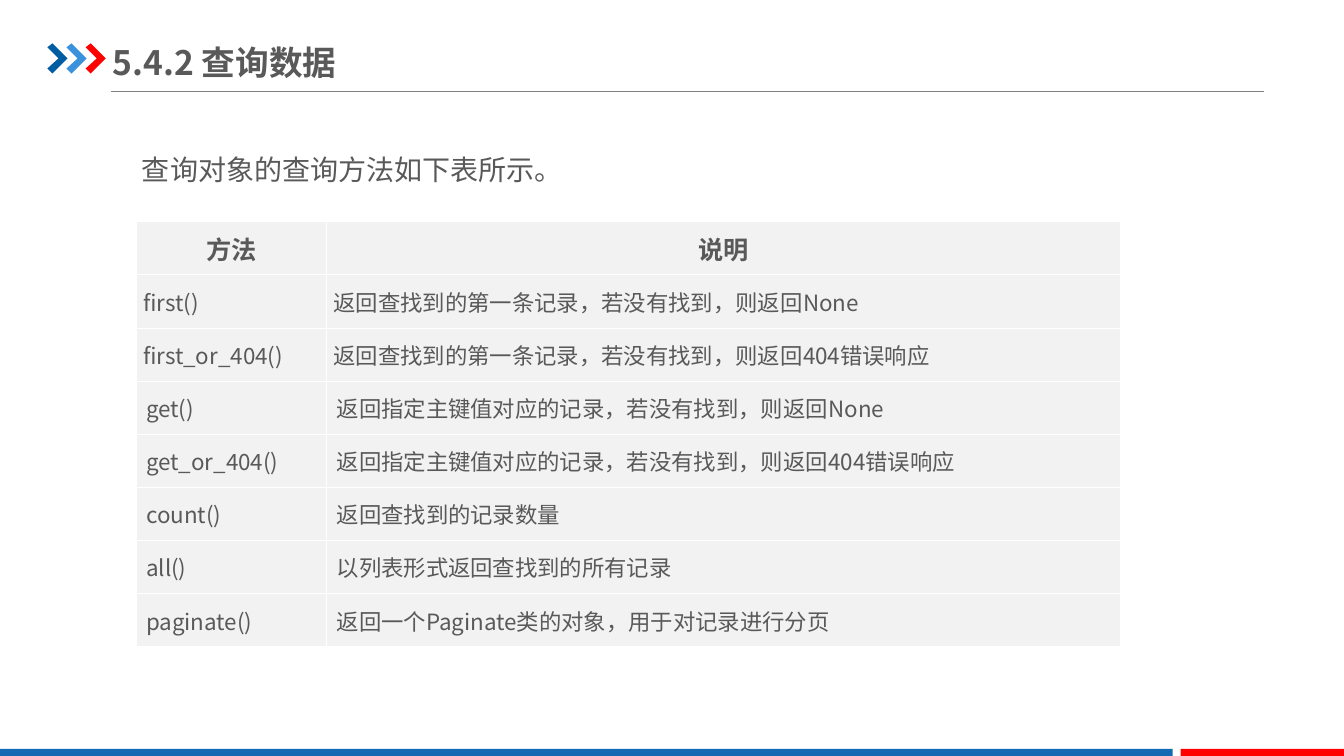
from lxml import etree
from pptx import Presentation
from pptx import util as u
from pptx.dml import color
from pptx.enum import shapes, text
from pptx.oxml import ns

FONT = "Noto Sans CJK SC"
GREY = "595959"
ROWS = [
    ("方法", "说明"),
    ("first()", "返回查找到的第一条记录，若没有找到，则返回None"),
    ("first_or_404()", "返回查找到的第一条记录，若没有找到，则返回404错误响应"),
    ("get()", "返回指定主键值对应的记录，若没有找到，则返回None"),
    ("get_or_404()", "返回指定主键值对应的记录，若没有找到，则返回404错误响应"),
    ("count()", "返回查找到的记录数量"),
    ("all()", "以列表形式返回查找到的所有记录"),
    ("paginate()", "返回一个Paginate类的对象，用于对记录进行分页"),
]


def rgb(code):
    """Turn a hex string into a colour."""
    return color.RGBColor.from_string(code)


def paint(shape, code):
    """Give a shape a flat fill with no line or shadow."""
    shape.shadow.inherit = False
    shape.fill.solid()
    shape.fill.fore_color.rgb = rgb(code)
    shape.line.fill.background()


def write(para, words, size, bold=False):
    """Add one styled run to a paragraph."""
    run = para.add_run()
    run.text = words
    font = run.font
    font.size, font.bold, font.name = u.Pt(size), bold, FONT
    font.color.rgb = rgb(GREY)
    east = etree.SubElement(run._r.get_or_add_rPr(), ns.qn("a:ea"))
    east.set("typeface", FONT)


def add_rule(slide, left, right, top):
    """Draw the thin line under the heading."""
    rule = slide.shapes.add_connector(
        shapes.MSO_CONNECTOR.STRAIGHT,
        u.Inches(left), u.Inches(top), u.Inches(right), u.Inches(top))
    rule.line.color.rgb = rgb("808080")
    rule.line.width = u.Pt(0.75)
    etree.SubElement(rule._element.spPr, ns.qn("a:effectLst"))


def add_arrow(slide, left, code):
    """Draw one chevron of the heading mark."""
    spots = [(0, 0.47), (0.05, 0.43), (0.2, 0.58), (0.05, 0.73),
             (0, 0.68), (0.11, 0.58)]
    spots = [(u.Inches(left + x), u.Inches(y)) for x, y in spots]
    pen = slide.shapes.build_freeform(*spots[0])
    pen.add_line_segments(spots[1:], close=True)
    paint(pen.convert_to_shape(), code)


def add_bar(slide, left, width, code):
    """Draw one part of the footer strip."""
    bar = slide.shapes.add_shape(
        shapes.MSO_SHAPE.RECTANGLE,
        u.Inches(left), u.Inches(7.43), u.Inches(width), u.Inches(0.09))
    paint(bar, code)


def add_text(slide, area, words, size, bold=False):
    """Add a wrapped text box and return its frame."""
    box = slide.shapes.add_textbox(*map(u.Inches, area))
    frame = box.text_frame
    frame.word_wrap = True
    write(frame.paragraphs[0], words, size, bold)
    return frame


def add_edges(cell):
    """Put thin white borders round a cell."""
    props = cell._tc.get_or_add_tcPr()
    for side in ("lnL", "lnR", "lnT", "lnB"):
        edge = etree.SubElement(props, ns.qn("a:" + side), w=str(u.Pt(0.75)))
        fill = etree.SubElement(edge, ns.qn("a:solidFill"))
        etree.SubElement(fill, ns.qn("a:srgbClr"), val="FFFFFF")


def fill_cell(cell, words, row):
    """Style one cell by its row and write its text."""
    cell.vertical_anchor = text.MSO_ANCHOR.MIDDLE
    if row < 3:
        cell.margin_left = cell.margin_right = u.Inches(0.07)
        cell.margin_top = cell.margin_bottom = 0
    add_edges(cell)
    cell.fill.solid()
    cell.fill.fore_color.rgb = rgb("F2F2F2")
    para = cell.text_frame.paragraphs[0]
    head = row == 0
    if head:
        para.alignment = text.PP_ALIGN.CENTER
    write(para, words, 18 if head else 16, head)


def add_grid(slide):
    """Add the table of query methods."""
    area = map(u.Inches, (1.35, 2.2, 9.75, 4.22))
    grid = slide.shapes.add_table(len(ROWS), 2, *area).table
    for col, width in zip(grid.columns, (1.89, 7.87)):
        col.width = u.Inches(width)
    for r, line in enumerate(ROWS):
        for c, words in enumerate(line):
            fill_cell(grid.cell(r, c), words, r)


def main():
    """Build the slide and save it."""
    deck = Presentation()
    deck.slide_width, deck.slide_height = u.Inches(13.33), u.Inches(7.5)
    slide = deck.slides.add_slide(deck.slide_layouts[6])
    add_rule(slide, 1.1, 12.54, 0.91)
    for i, code in enumerate(("005DA2", "3992DB", "FF0000")):
        add_arrow(slide, 0.47 + 0.19 * i, code)
    add_bar(slide, 0, 11.63, "1369B2")
    add_bar(slide, 11.71, 1.62, "FF0000")
    intro = add_text(slide, (1.31, 1.3, 5.91, 0.61),
                     "查询对象的查询方法如下表所示。", 20)
    intro.auto_size = text.MSO_AUTO_SIZE.SHAPE_TO_FIT_TEXT
    intro.paragraphs[0].line_spacing = 1.5
    title = add_text(slide, (1.12, 0.34, 4.89, 0.55),
                     "5.4.2 查询数据", 24, True)
    title.vertical_anchor = text.MSO_ANCHOR.MIDDLE
    title.margin_left = title.margin_right = 0
    title.margin_top = title.margin_bottom = u.Inches(0.07)
    add_grid(slide)
    deck.save("out.pptx")


if __name__ == "__main__":
    main()
